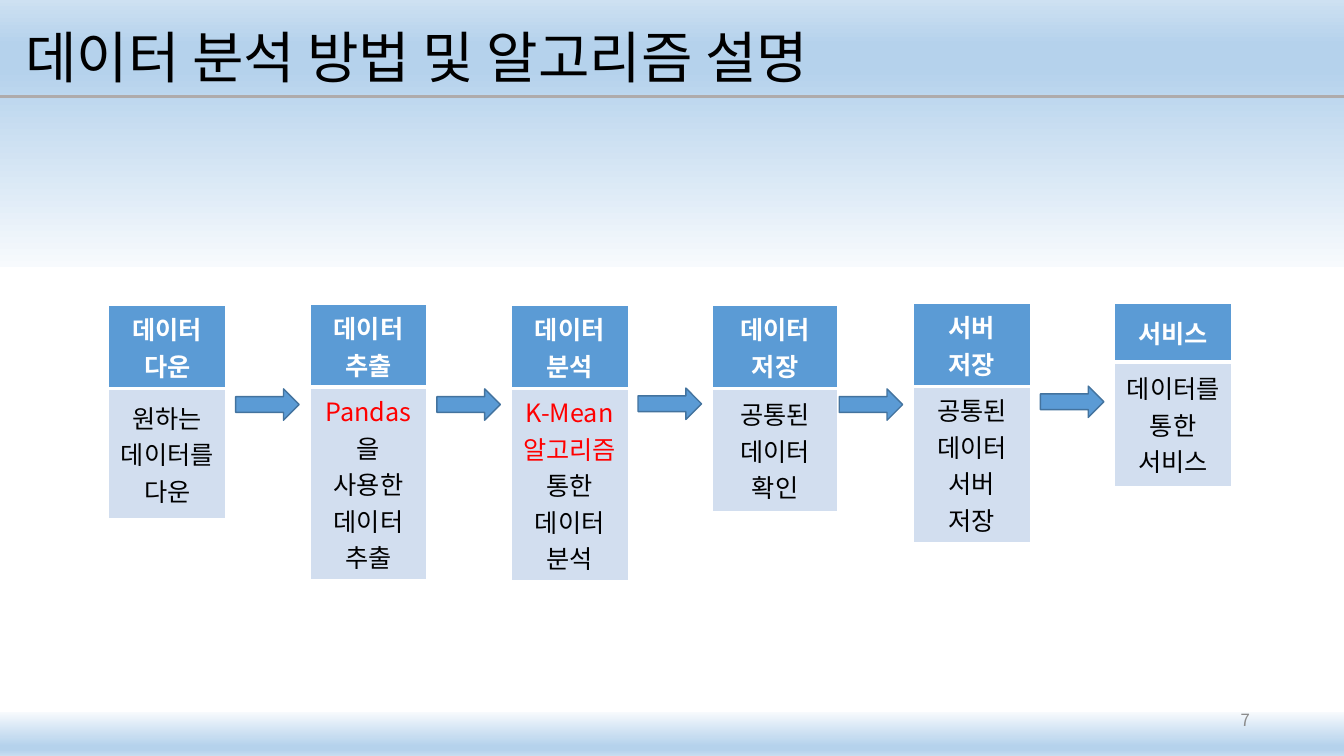
from pptx import Presentation
from pptx.dml.color import RGBColor
from pptx.enum.shapes import MSO_CONNECTOR as Link, MSO_SHAPE as Kind
from pptx.enum.text import MSO_ANCHOR as Anchor, MSO_AUTO_SIZE as Fit, PP_ALIGN as Align
from pptx.oxml import parse_xml
from pptx.oxml.ns import nsdecls, qn
from pptx.util import Cm, Pt
from lxml.etree import SubElement

FONT = "Noto Sans CJK KR"
BLACK = RGBColor(0x00, 0x00, 0x00)
WHITE = RGBColor(0xFF, 0xFF, 0xFF)
RED = RGBColor(0xFF, 0x00, 0x00)
GRAY = RGBColor(0x8C, 0x8C, 0x8C)
RULE = RGBColor(0xAF, 0xAB, 0xAB)
BLUE = RGBColor(0x5B, 0x9B, 0xD5)
EDGE = RGBColor(0x43, 0x73, 0x9E)
PALE = RGBColor(0xD2, 0xDE, 0xEF)
FADE = [(0, RGBColor(0xF7, 0xFA, 0xFD)), (74, RGBColor(0xB5, 0xD2, 0xEC)),
        (83, RGBColor(0xB5, 0xD2, 0xEC)), (100, RGBColor(0xCE, 0xE1, 0xF2))]

WIDE, HIGH = 33.87, 19.05
LEFT, STEP = 2.74, 5.07
ONE, TWO = 1.47, 2.09  # heading heights for one and two lines

# Each step: top, width, row heights, heading, body lines of (text, colour) runs
STEPS = [
    (7.7, 2.95, (TWO, 3.28), "데이터 다운",
     [[("원하는", BLACK)], [("데이터를", BLACK)], [("다운", BLACK)]]),
    (7.67, 2.95, (TWO, 4.85), "데이터 추출",
     [[("Pandas", RED), ("을", BLACK)], [("사용한", BLACK)], [("데이터 추출", BLACK)]]),
    (7.7, 2.95, (TWO, 4.85), "데이터 분석",
     [[("K-Mean", RED)], [("알고리즘", RED)], [("통한", BLACK)], [("데이터 분석", BLACK)]]),
    (7.7, 3.17, (TWO, 3.1), "데이터 저장",
     [[("공통된", BLACK)], [("데이터 확인", BLACK)]]),
    (7.65, 2.95, (TWO, 3.93), "서버 저장",
     [[("공통된", BLACK)], [("데이터", BLACK)], [("서버 저장", BLACK)]]),
    (7.65, 2.95, (ONE, 3.15), "서비스",
     [[("데이터를", BLACK)], [("통한 서비스", BLACK)]]),
]
ARROWS = [9.8, 9.8, 9.78, 9.8, 9.73]


def style(para, size, color, align, bold=False):
    font = para.font
    font.name, font.size, font.bold = FONT, Pt(size), bold
    font.color.rgb = color
    SubElement(font._element, qn("a:ea"), typeface=FONT)
    para.alignment = align


def band(slide, top, high, angle):
    shape = slide.shapes.add_shape(Kind.RECTANGLE, 0, Cm(top), Cm(WIDE), Cm(high))
    shape.shadow.inherit = False
    shape.line.fill.background()
    stops = "".join(f'<a:gs pos="{pos * 1000}"><a:srgbClr val="{color}"/></a:gs>'
                    for pos, color in FADE)
    fill = parse_xml(f'<a:gradFill {nsdecls("a")}><a:gsLst>{stops}</a:gsLst>'
                     f'<a:lin ang="{angle * 60000}" scaled="0"/></a:gradFill>')
    shape._element.spPr.find(qn("a:prstGeom")).addnext(fill)


def header(slide, left, top, width, height):
    line = top + 2.1
    rule = slide.shapes.add_connector(Link.STRAIGHT, 0, Cm(line), Cm(WIDE), Cm(line))
    rule.line.color.rgb = RULE
    rule.line.width = Pt(2.25)
    SubElement(rule._element.spPr, qn("a:effectLst"))

    title = slide.shapes.title
    slide.shapes._spTree.append(title._element)  # bring in front of the bands
    title.left, title.top = Cm(left), Cm(top)
    title.width, title.height = Cm(width), Cm(height)
    frame = title.text_frame
    frame.text = "데이터 분석 방법 및 알고리즘 설명"
    frame.auto_size = Fit.NONE
    frame.vertical_anchor = Anchor.MIDDLE
    para = frame.paragraphs[0]
    para.line_spacing = 0.9
    style(para, 40, BLACK, Align.LEFT)


def number(slide, left, top, width, height):
    frame = slide.shapes.add_textbox(Cm(left), Cm(top), Cm(width), Cm(height)).text_frame
    frame.margin_left = frame.margin_right = frame.margin_top = frame.margin_bottom = 0
    frame.vertical_anchor = Anchor.MIDDLE
    frame.word_wrap = True
    frame.text = "7"
    style(frame.paragraphs[0], 12, GRAY, Align.RIGHT)


def paint(cell, fill, top, low):
    props = cell._tc.get_or_add_tcPr()
    for side, width in (("L", 1), ("R", 1), ("T", top), ("B", low)):
        props.append(parse_xml(
            f'<a:ln{side} {nsdecls("a")} w="{Pt(width)}"><a:solidFill>'
            f'<a:srgbClr val="{WHITE}"/></a:solidFill></a:ln{side}>'))
    cell.fill.solid()
    cell.fill.fore_color.rgb = fill
    cell.vertical_anchor = Anchor.MIDDLE


def card(slide, left, top, width, rows, head, lines):
    table = slide.shapes.add_table(2, 1, Cm(left), Cm(top), Cm(width), Cm(sum(rows))).table
    for row, high in zip(table.rows, rows):
        row.height = Cm(high)

    # Heading
    cell = table.cell(0, 0)
    paint(cell, BLUE, 1, 3)
    cell.text = head
    style(cell.text_frame.paragraphs[0], 18, WHITE, Align.CENTER, True)

    # Body
    cell = table.cell(1, 0)
    paint(cell, PALE, 3, 1)
    frame = cell.text_frame
    for i, runs in enumerate(lines):
        para = frame.add_paragraph() if i else frame.paragraphs[0]
        style(para, 18, runs[0][1], Align.CENTER)
        for text, color in runs:
            run = para.add_run()
            run.text = text
            if color != runs[0][1]:
                run.font.color.rgb = color


def arrow(slide, left, top, width, height):
    shape = slide.shapes.add_shape(Kind.RIGHT_ARROW, Cm(left), Cm(top), Cm(width), Cm(height))
    shape.shadow.inherit = False
    shape.fill.solid()
    shape.fill.fore_color.rgb = BLUE
    shape.line.color.rgb = EDGE
    shape.line.width = Pt(1)


def flow(slide, left, step):
    for i, (top, width, rows, head, lines) in enumerate(STEPS):
        card(slide, left + i * step, top, width, rows, head, lines)
    for i, top in enumerate(ARROWS):
        arrow(slide, left + 3.2 + i * step, top, 1.6, 0.79)


def main():
    deck = Presentation()
    deck.slide_width, deck.slide_height = Cm(WIDE), Cm(HIGH)
    slide = deck.slides.add_slide(deck.slide_layouts[5])
    band(slide, 17.93, 1.17, 90)
    band(slide, -0.03, 6.76, 270)
    header(slide, 0.38, 0.33, 23.16, 2.36)
    number(slide, 31, 17.78, 0.5, 0.74)
    flow(slide, LEFT, STEP)
    deck.save("out.pptx")


if __name__ == "__main__":
    main()
